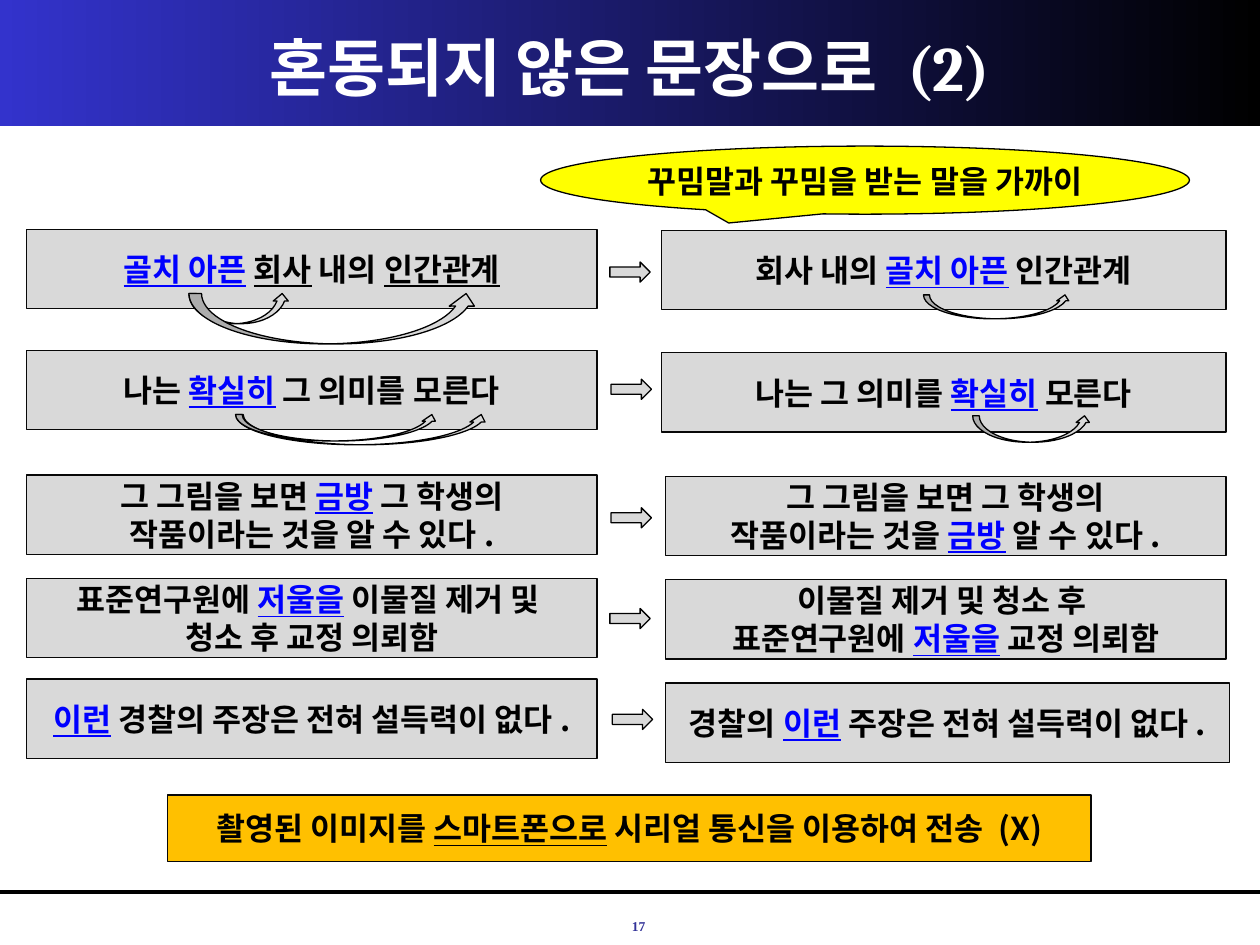
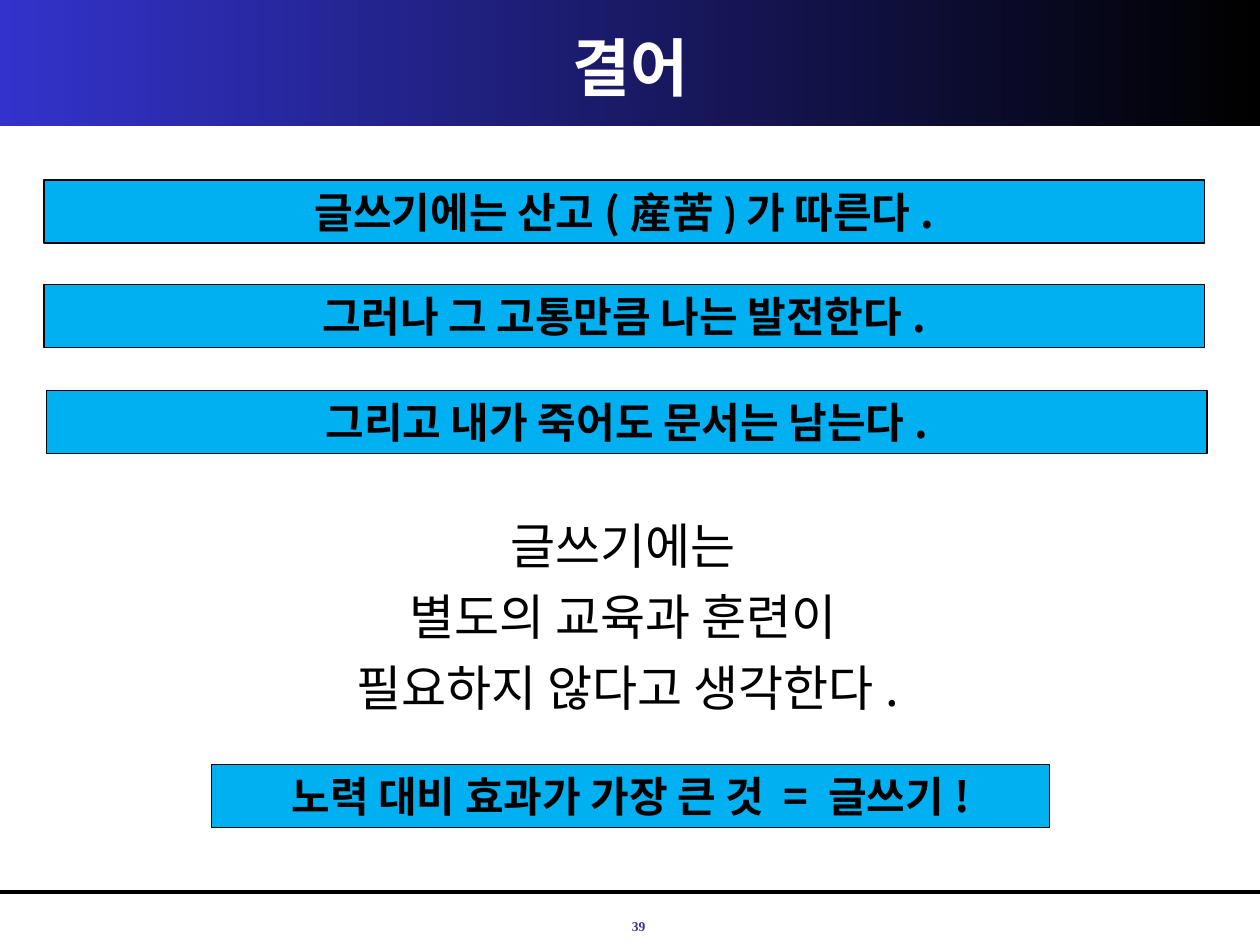
from dataclasses import dataclass
from typing import NamedTuple

import pptx
import pptx.dml.color
import pptx.enum.dml
import pptx.enum.shapes
import pptx.enum.text
import pptx.oxml
import pptx.oxml.ns
import pptx.util
from pptx.util import Inches

Shape = pptx.enum.shapes.MSO_SHAPE
Anchor = pptx.enum.text.MSO_ANCHOR
Align = pptx.enum.text.PP_ALIGN


# Theme
@dataclass(frozen=True)
class Theme:
    black: str = "000000"
    white: str = "FFFFFF"
    band: str = "3333CC"
    number: str = "333399"
    outline: str = "080808"
    grey: str = "D9D9D9"
    yellow: str = "FFFF00"
    orange: str = "FFC000"
    sky: str = "00B0F0"
    key: str = "0000FF"
    korean: str = "Noto Sans CJK KR"
    cambria: str = "Cambria"
    cabin: str = "Cabin"
    times: str = "Times New Roman"
    title_size: float = 36
    body_size: float = 28
    bar_size: float = 24
    example_size: float = 18
    number_size: float = 7.7
    thin: float = 0.75
    rule: float = 2.25


T = Theme()


# Repeated elements
class Box(NamedTuple):
    x: float
    y: float
    w: float
    h: float


class Run(NamedTuple):
    text: str
    color: str = T.black
    underline: bool = False
    font: str = T.korean


Lines = tuple[tuple[Run, ...], ...]


class Rewrite(NamedTuple):
    """A confusing sentence, its arrow and the clearer sentence."""
    before_y: float
    before: Lines
    arrow_x: float
    arrow_y: float
    after: Lines
    after_box: Box


class Bar(NamedTuple):
    box: Box
    runs: tuple[Run, ...]


def key(text: str) -> Run:
    return Run(text, T.key, True)


def under(text: str) -> Run:
    return Run(text, underline=True)


def rgb(value: str) -> pptx.dml.color.RGBColor:
    return pptx.dml.color.RGBColor.from_string(value)


# Drawing helpers
def write(sp, lines: Lines, size: float, bold: bool = True, anchor=Anchor.MIDDLE,
          align=Align.CENTER, wrap: bool = True, inset: tuple[float, float] = (0.1, 0.05),
          before: float = 0, spacing: float = 1.0) -> None:
    tf = sp.text_frame
    tf.word_wrap = wrap
    tf.vertical_anchor = anchor
    tf.margin_left = tf.margin_right = Inches(inset[0])
    tf.margin_top = tf.margin_bottom = Inches(inset[1])
    for i, line in enumerate(lines):
        p = tf.paragraphs[0] if i == 0 else tf.add_paragraph()
        p.alignment = align
        p.space_before = pptx.util.Pt(before)
        p.line_spacing = spacing
        for run in line:
            r = p.add_run()
            r.text = run.text
            r.font.size = pptx.util.Pt(size)
            r.font.bold = bold
            r.font.underline = run.underline
            r.font.color.rgb = rgb(run.color)
            r.font.name = run.font
            # East Asian glyphs always use the Korean face
            ea = pptx.oxml.parse_xml(
                f'<a:ea {pptx.oxml.ns.nsdecls("a")} typeface="{T.korean}"/>')
            r.font._element.find(pptx.oxml.ns.qn("a:latin")).addnext(ea)


def shape(s, kind, box: Box, fill: str, line: str = T.black):
    sp = s.shapes.add_shape(kind, *map(Inches, box))
    sp.shadow.inherit = False
    sp.fill.solid()
    sp.fill.fore_color.rgb = rgb(fill)
    sp.line.color.rgb = rgb(line)
    sp.line.width = pptx.util.Pt(T.thin)
    return sp


def textbox(s, box: Box):
    return s.shapes.add_textbox(*map(Inches, box))


def sentence(s, box: Box, lines: Lines, fill: str = T.grey) -> None:
    sp = shape(s, Shape.RECTANGLE, box, fill, T.outline)
    write(sp, lines, T.example_size, wrap=False)


def draw_bar(s, bar: Bar) -> None:
    sp = shape(s, Shape.RECTANGLE, bar.box, T.sky, T.outline)
    write(sp, (bar.runs,), T.bar_size, anchor=Anchor.TOP)
    sp.text_frame.auto_size = pptx.enum.text.MSO_AUTO_SIZE.SHAPE_TO_FIT_TEXT


# Band, title, rule and page number shared by the slides
def new_slide(prs, title: str, number: int, title_font: str):
    s = prs.slides.add_slide(prs.slide_layouts[6])
    band = shape(s, Shape.RECTANGLE, Box(0, 0, 10, 1), T.band)
    band.line.fill.background()
    band.fill.gradient()
    band.fill.gradient_angle = 0
    for stop, color, position in zip(band.fill.gradient_stops, (T.band, T.black), (0, 1)):
        stop.color.rgb = rgb(color)
        stop.position = position

    rule = s.shapes.add_connector(pptx.enum.shapes.MSO_CONNECTOR.STRAIGHT,
                                  Inches(0), Inches(7.08), Inches(10), Inches(7.08))
    rule.line.color.rgb = rgb(T.black)
    rule.line.width = pptx.util.Pt(T.rule)
    rule.element.spPr.append(
        pptx.oxml.parse_xml(f'<a:effectLst {pptx.oxml.ns.nsdecls("a")}/>'))

    write(textbox(s, Box(0.24, 0.08, 9.52, 0.75)),
          ((Run(title, T.white, font=title_font),),),
          T.title_size, anchor=Anchor.BOTTOM, inset=(0, 0))
    write(textbox(s, Box(4.76, 7.22, 0.46, 0.24)),
          ((Run(str(number), T.number, font=T.times),),),
          T.number_size, anchor=Anchor.BOTTOM, align=Align.RIGHT, spacing=0.8)
    return s


# Slide 1: sentences before and after moving the modifier
BEFORE_X, BEFORE_W, ROW_H = 0.21, 4.53, 0.63

REWRITES = (
    Rewrite(1.82, ((key("골치 아픈"), Run(" "), under("회사"), Run(" 내의 "), under("인간관계")),),
            4.84, 2.08,
            ((Run("회사 내의 "), key("골치 아픈"), Run(" 인간관계")),),
            Box(5.25, 1.83, 4.48, ROW_H)),
    Rewrite(2.78, ((Run("나는 "), key("확실히"), Run(" 그 의미를 모른다")),),
            4.85, 3.01,
            ((Run("나는 그 의미를 "), key("확실히"), Run(" 모른다")),),
            Box(5.25, 2.8, 4.48, ROW_H)),
    Rewrite(3.77, ((Run("그 그림을 보면 "), key("금방"), Run(" 그 학생의")),
                   (Run("작품이라는 것을 알 수 있다."),)),
            4.85, 4.03,
            ((Run("그 그림을 보면 그 학생의"),),
             (Run("작품이라는 것을 "), key("금방"), Run(" 알 수 있다."))),
            Box(5.28, 3.78, 4.45, ROW_H)),
    Rewrite(4.59, ((Run("표준연구원에 "), key("저울을"), Run(" 이물질 제거 및 ")),
                   (Run("청소 후 교정 의뢰함"),)),
            4.84, 4.83,
            ((Run("이물질 제거 및 청소 후 "),),
             (Run("표준연구원에 "), key("저울을"), Run(" 교정 의뢰함"))),
            Box(5.28, 4.6, 4.45, ROW_H)),
    Rewrite(5.39, ((key("이런"), Run(" 경찰의 주장은 전혀 설득력이 없다.")),),
            4.86, 5.63,
            ((Run("경찰의 "), key("이런"), Run(" 주장은 전혀 설득력이 없다.")),),
            Box(5.28, 5.42, 4.48, ROW_H)),
)

# Curved arrows from a modifier to the words it may modify
MODIFIER_LINKS = (
    Box(1.5, 2.33, 0.8, 0.24),
    Box(1.5, 2.33, 2.3, 0.4),
    Box(1.87, 3.29, 2.01, 0.24),
    Box(1.87, 3.29, 1.61, 0.21),
    Box(7.33, 2.34, 1.17, 0.19),
    Box(7.72, 3.3, 0.94, 0.21),
)


def sentences_slide(prs) -> None:
    s = new_slide(prs, "혼동되지 않은 문장으로 (2)", 17, T.cambria)
    for row in REWRITES:
        sentence(s, Box(BEFORE_X, row.before_y, BEFORE_W, ROW_H), row.before)
        sentence(s, row.after_box, row.after)
        shape(s, Shape.RIGHT_ARROW, Box(row.arrow_x, row.arrow_y, 0.32, 0.16), T.grey)

    callout = shape(s, Shape.OVAL_CALLOUT, Box(4.29, 1.16, 5.15, 0.54), T.yellow)
    callout.adjustments[0] = -0.21
    callout.adjustments[1] = 0.63
    write(callout, ((Run("꾸밈말과 꾸밈을 받는 말을 가까이"),),),
          T.example_size, anchor=Anchor.TOP, wrap=False)

    for link in MODIFIER_LINKS:
        shape(s, Shape.CURVED_UP_ARROW, link, T.grey)

    sentence(s, Box(1.33, 6.31, 7.33, 0.53),
             ((Run("촬영된 이미지를 "), under("스마트폰으로"),
               Run(" 시리얼 통신을 이용하여 전송 (X)")),), T.orange)


# Slide 2: closing words
CLOSING_BARS = (
    Bar(Box(0.35, 1.43, 9.21, 0.5),
        (Run("글쓰기에는 산고("), Run("産苦)", font=T.cabin), Run("가 따른다."))),
    Bar(Box(0.35, 2.26, 9.21, 0.5), (Run("그러나 그 고통만큼 나는 발전한다."),)),
    Bar(Box(0.37, 3.1, 9.21, 0.5), (Run("그리고 내가 죽어도 문서는 남는다."),)),
    Bar(Box(1.68, 6.07, 6.65, 0.5), (Run("노력 대비 효과가 가장 큰 것 = 글쓰기!"),)),
)

BELIEF = ("글쓰기에는 ", "별도의 교육과 훈련이 ", "필요하지 않다고 생각한다.")


def closing_slide(prs) -> None:
    s = new_slide(prs, "결어", 39, T.korean)
    for bar in CLOSING_BARS:
        draw_bar(s, bar)
    write(textbox(s, Box(0.38, 4.09, 9.21, 1.85)),
          tuple((Run(text),) for text in BELIEF),
          T.body_size, bold=False, anchor=Anchor.TOP, inset=(0, 0), before=7)


def main() -> None:
    prs = pptx.Presentation()
    prs.slide_width, prs.slide_height = Inches(10), Inches(7.5)
    sentences_slide(prs)
    closing_slide(prs)
    prs.save("out.pptx")


if __name__ == "__main__":
    main()
